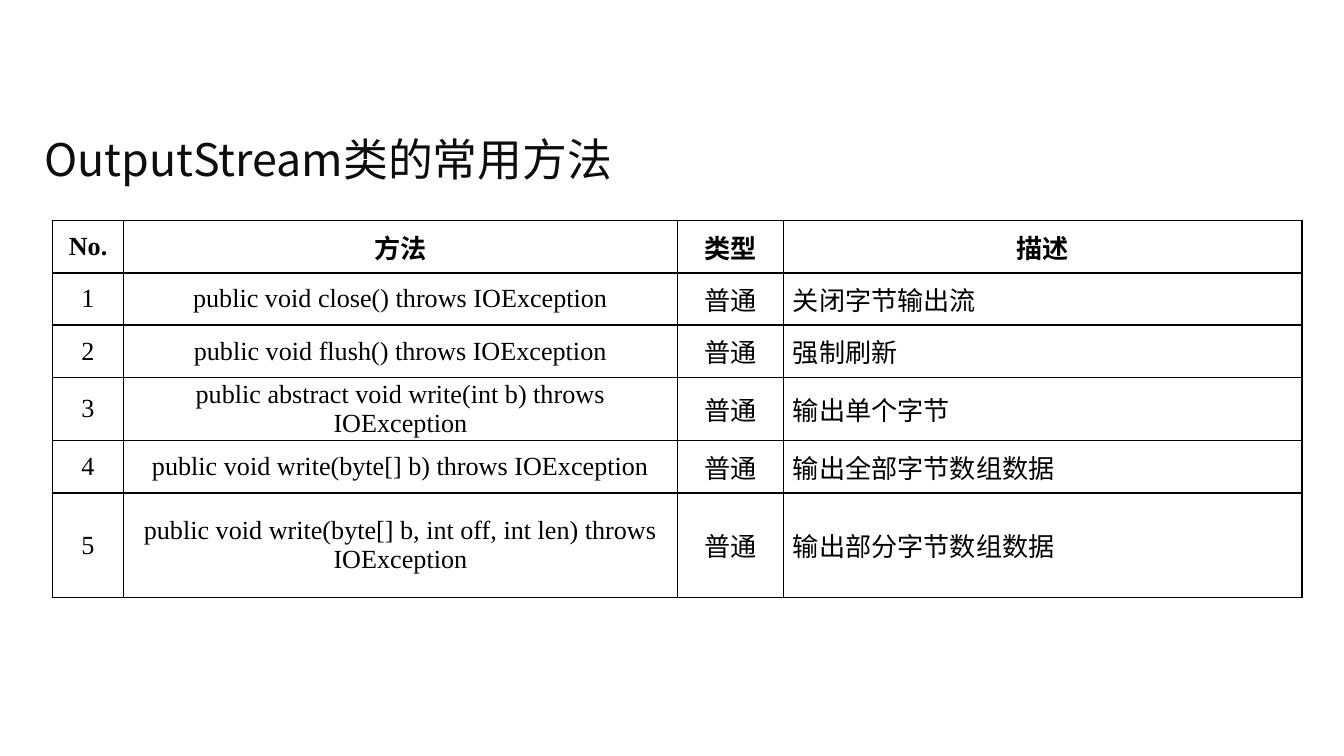
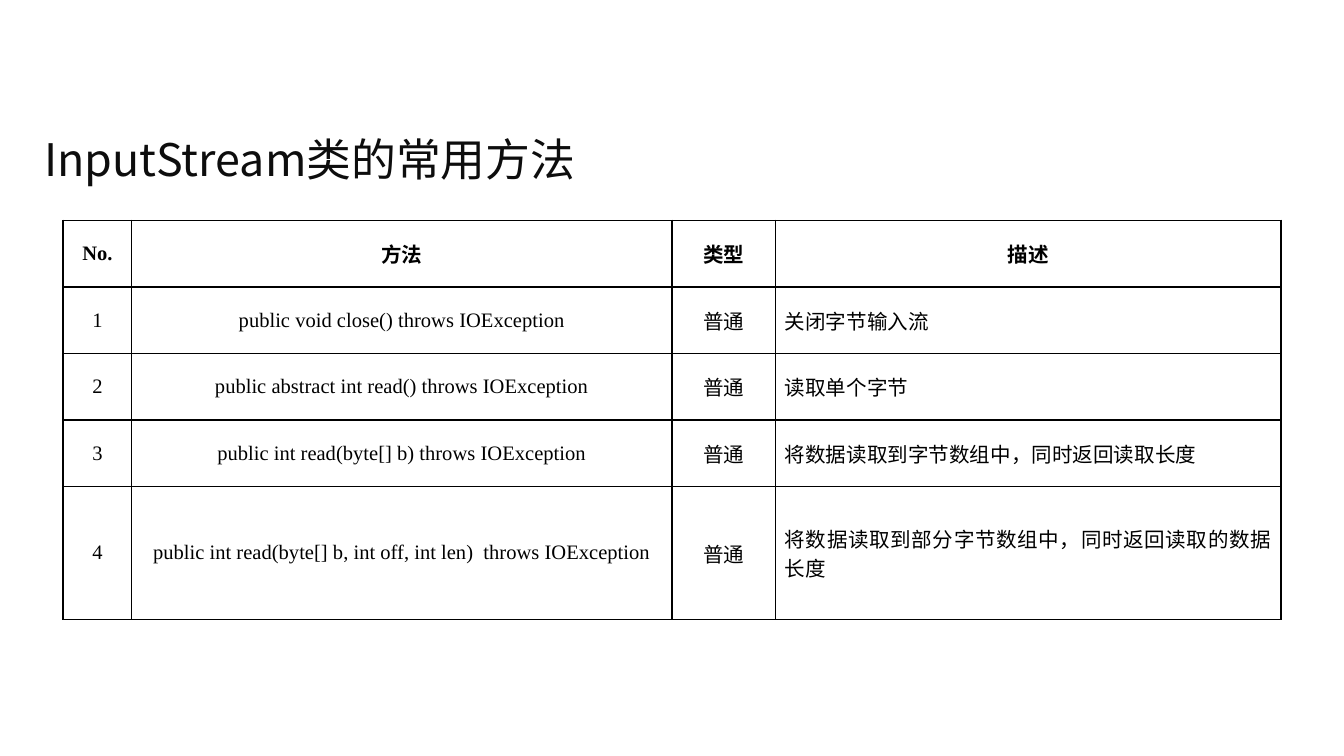
from dataclasses import dataclass

from lxml.etree import SubElement
from pptx import Presentation
from pptx.dml.color import RGBColor as RGB
from pptx.enum.text import MSO_ANCHOR as ANCHOR, PP_ALIGN as ALIGN
from pptx.oxml.ns import qn
from pptx.util import Inches, Pt


@dataclass(frozen=True)
class Theme:
    """Colours, fonts and type sizes shared by the slides."""
    title_color: RGB = RGB(0x0D, 0x0D, 0x0D)
    cell_color: RGB = RGB(0, 0, 0)
    border_color: str = "000000"
    border_width: float = 1
    title_font: str = "Noto Sans CJK SC"
    cell_font: str = "Times New Roman"
    title_size: float = 24
    large_cell: float = 14
    small_cell: float = 11


THEME = Theme()
HEADER = ("No.", "方法", "类型", "描述")
KIND = "普通"
OUTPUT_METHODS = [
    ("public void close() throws IOException", "关闭字节输出流"),
    ("public void flush() throws IOException", "强制刷新"),
    ("public abstract void write(int b) throws IOException", "输出单个字节"),
    ("public void write(byte[] b) throws IOException", "输出全部字节数组数据"),
    ("public void write(byte[] b, int off, int len) throws IOException", "输出部分字节数组数据"),
]
INPUT_METHODS = [
    ("public void close() throws IOException", "关闭字节输入流"),
    ("public abstract int read() throws IOException", "读取单个字节"),
    ("public int read(byte[] b) throws IOException", "将数据读取到字节数组中，同时返回读取长度"),
    ("public int read(byte[] b, int off, int len)  throws IOException",
     "将数据读取到部分字节数组中，同时返回读取的数据长度"),
]


def set_attrs(obj, values):
    """Set each named attribute of an object."""
    for name, value in values.items():
        setattr(obj, name, value)


def write(p, text, color, font, size, bold=False):
    """Add one formatted run to a paragraph."""
    r = p.add_run()
    r.text = text
    set_attrs(r.font, {"name": font, "size": Pt(size), "bold": bold})
    r.font.color.rgb = color
    SubElement(r.font._element, qn("a:ea"), typeface=THEME.title_font)


def add_title(s, text):
    """Add the slide title."""
    tf = s.shapes.add_textbox(Inches(0.23), Inches(0.86), Inches(9.53), Inches(0.64)).text_frame
    set_attrs(tf, {"word_wrap": True, "vertical_anchor": ANCHOR.MIDDLE})
    write(tf.paragraphs[0], text, THEME.title_color, THEME.title_font, THEME.title_size)


def add_borders(cell):
    """Draw a solid line on all four sides of a cell."""
    tc_pr = cell._tc.get_or_add_tcPr()
    for side in ("lnL", "lnR", "lnT", "lnB"):
        ln = SubElement(tc_pr, qn(f"a:{side}"), w=str(Pt(THEME.border_width)))
        fill = SubElement(ln, qn("a:solidFill"))
        SubElement(fill, qn("a:srgbClr"), val=THEME.border_color)


def fill_cell(cell, text, size, align, bold):
    """Format a cell and write its text."""
    add_borders(cell)
    cell.fill.background()
    set_attrs(cell, {
        "vertical_anchor": ANCHOR.MIDDLE,
        "margin_left": Inches(0.07), "margin_right": Inches(0.07),
        "margin_top": 0, "margin_bottom": 0,
    })
    p = cell.text_frame.paragraphs[0]
    p.alignment = align
    write(p, text, THEME.cell_color, THEME.cell_font, size, bold)


def add_method_table(s, methods, left, height, widths, size):
    """Add a numbered method table whose last row is twice as tall."""
    rows = [HEADER] + [(str(n), method, KIND, note)
                       for n, (method, note) in enumerate(methods, 1)]
    table = s.shapes.add_table(len(rows), len(widths), Inches(left), Inches(1.64),
                               Inches(sum(widths)), Inches(height)).table
    set_attrs(table, {"first_row": False, "horz_banding": False})
    for column, width in zip(table.columns, widths):
        column.width = Inches(width)
    unit = height / (len(rows) + 1)
    last = len(rows) - 1
    for i, texts in enumerate(rows):
        table.rows[i].height = Inches(unit * 2 if i == last else unit)
        for j, text in enumerate(texts):
            is_note = i > 0 and j == len(widths) - 1
            align = ALIGN.JUSTIFY if is_note else ALIGN.CENTER
            fill_cell(table.cell(i, j), text, size, align, bold=i == 0)


def add_method_slide(prs, title, *table_args):
    """Add a slide with a title and a method table."""
    s = prs.slides.add_slide(prs.slide_layouts[6])
    add_title(s, title)
    add_method_table(s, *table_args)


def main():
    """Build and save the presentation."""
    prs = Presentation()
    set_attrs(prs, {"slide_width": Inches(10), "slide_height": Inches(10 * 9 / 16)})
    add_method_slide(prs, "OutputStream类的常用方法", OUTPUT_METHODS,
                     0.39, 2.73, (0.53, 4.12, 0.79, 3.86), THEME.large_cell)
    add_method_slide(prs, "InputStream类的常用方法", INPUT_METHODS,
                     0.47, 2.97, (0.51, 4.02, 0.77, 3.76), THEME.small_cell)
    prs.save("out.pptx")


if __name__ == "__main__":
    main()
